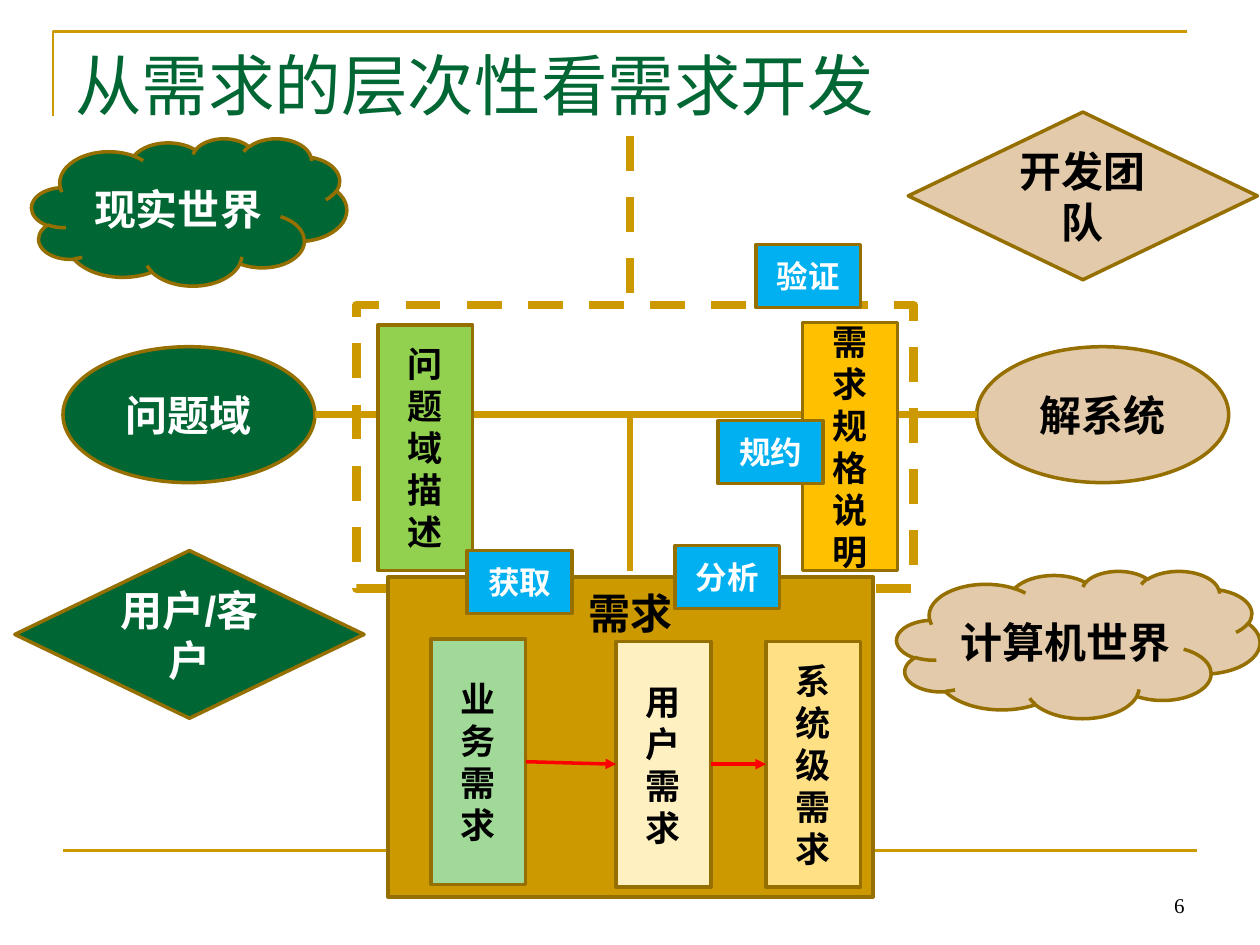
from lxml import etree
from pptx import Presentation
from pptx.dml.color import RGBColor
from pptx.enum.dml import MSO_LINE
from pptx.enum.shapes import MSO_CONNECTOR, MSO_SHAPE
from pptx.enum.text import MSO_ANCHOR, PP_ALIGN
from pptx.oxml.ns import qn
from pptx.util import Cm, Pt

RECTANGLE, ELLIPSE = MSO_SHAPE.RECTANGLE, MSO_SHAPE.OVAL
CLOUD, DIAMOND = MSO_SHAPE.CLOUD, MSO_SHAPE.FLOWCHART_DECISION
STRAIGHT = MSO_CONNECTOR.STRAIGHT
DASH = MSO_LINE.DASH
LEFT, CENTER, RIGHT = PP_ALIGN.LEFT, PP_ALIGN.CENTER, PP_ALIGN.RIGHT
TOP, MIDDLE, BOTTOM = MSO_ANCHOR.TOP, MSO_ANCHOR.MIDDLE, MSO_ANCHOR.BOTTOM
LEFT_SIDE, RIGHT_SIDE = 1, 3

BLACK = RGBColor(0x00, 0x00, 0x00)
WHITE = RGBColor(0xFF, 0xFF, 0xFF)
GREEN = RGBColor(0x00, 0x66, 0x33)
TAN = RGBColor(0xE2, 0xCA, 0xAA)
GOLD = RGBColor(0xCC, 0x99, 0x00)
BROWN = RGBColor(0x95, 0x6F, 0x00)
LIME = RGBColor(0x92, 0xD0, 0x50)
AMBER = RGBColor(0xFF, 0xC0, 0x00)
MINT = RGBColor(0xA1, 0xDA, 0x98)
CREAM = RGBColor(0xFF, 0xF0, 0xC2)
YELLOW = RGBColor(0xFF, 0xE0, 0x85)
BLUE = RGBColor(0x00, 0xB0, 0xF0)
RED = RGBColor(0xFF, 0x00, 0x00)

WORLDS = [
    (CLOUD, "现实世界", 0.64, 2.79, 6.35, 2.97, GREEN, WHITE),
    (CLOUD, "计算机世界", 18.08, 11.51, 7.32, 2.97, TAN, BLACK),
    (ELLIPSE, "问题域", 1.27, 6.99, 5.08, 2.74, GREEN, WHITE),
    (ELLIPSE, "解系统", 19.69, 6.99, 5.08, 2.74, TAN, BLACK),
    (DIAMOND, "用户/客户", 0.3, 11.1, 7.04, 3.38, GREEN, WHITE),
    (DIAMOND, "开发团队", 18.31, 2.26, 7.04, 3.38, TAN, BLACK),
]
DOCUMENTS = [
    ("问题域描述", 7.62, 6.55, 4.95, LIME),
    ("需求规格说明", 16.18, 6.5, 5, AMBER),
]
LEVELS = [
    ("业务需求", 8.69, 12.88, 4.95, MINT),
    ("用户需求", 12.42, 12.93, 4.95, CREAM),
    ("系统级需求", 15.44, 12.93, 4.95, YELLOW),
]
ACTIVITIES = [
    ("获取", 9.42, 11.1),
    ("分析", 13.61, 11),
    ("规约", 14.48, 8.48),
    ("验证", 15.24, 4.93),
]


def write(box, text, size=24, color=BLACK, font="Arial", bold=True,
          align=CENTER, anchor=MIDDLE, top=0.13):
    """Put one formatted paragraph into a shape."""
    frame = box.text_frame
    frame.word_wrap = True
    frame.vertical_anchor = anchor
    frame.margin_top = Cm(top)
    para = frame.paragraphs[0]
    para.alignment = align
    span = para.add_run()
    span.text = text
    span.font.name = font
    span.font.size = Pt(size)
    span.font.bold = bold
    span.font.color.rgb = color


def style_line(line, color, width, dash=None):
    """Set colour, width and dash of a line."""
    line.color.rgb = color
    line.width = Pt(width)
    if dash:
        line.dash_style = dash


def add_label(page, text, left, top, width, height, **text_format):
    """Add a plain text box."""
    box = page.shapes.add_textbox(Cm(left), Cm(top), Cm(width), Cm(height))
    write(box, text, **text_format)


def add_block(page, kind, left, top, width, height, fill,
              border=BROWN, border_width=2, dash=None):
    """Add a filled and outlined preset shape."""
    box = page.shapes.add_shape(kind, Cm(left), Cm(top), Cm(width), Cm(height))
    box.shadow.inherit = False
    box.fill.solid()
    box.fill.fore_color.rgb = fill
    style_line(box.line, border, border_width, dash)
    return box


def add_line(page, start, end, width, color=GOLD, dash=None):
    """Add a straight connector between two points."""
    line = page.shapes.add_connector(STRAIGHT, *map(Cm, start + end))
    style_line(line.line, color, width, dash)
    etree.SubElement(line.element.spPr, qn("a:effectLst"))
    return line


def add_arrow(page, source, target):
    """Join two boxes with a red arrow."""
    arrow = add_line(page, (0, 0), (0, 0), 2, RED)
    arrow.begin_connect(source, RIGHT_SIDE)
    arrow.end_connect(target, LEFT_SIDE)
    etree.SubElement(arrow.line._get_or_add_ln(), qn("a:tailEnd"), type="triangle")


def add_column(page, text, left, top, height, fill):
    """Add a narrow box whose text runs one character to a line."""
    box = add_block(page, RECTANGLE, left, top, 1.91, height, fill)
    write(box, text, size=20)
    return box


def add_corner(page):
    """Draw the open corner line around the title."""
    builder = page.shapes.build_freeform(Cm(1.07), Cm(2.34))
    builder.add_line_segments(
        [(Cm(1.07), Cm(0.64)), (Cm(23.93), Cm(0.64))], close=False)
    corner = builder.convert_to_shape()
    corner.shadow.inherit = False
    corner.fill.background()
    style_line(corner.line, GOLD, 1.5)


def add_heading(page):
    """Add the title, the page number and the rules."""
    add_corner(page)
    add_line(page, (1.27, 17.15), (24.13, 17.15), 1.5)
    add_label(page, "从需求的层次性看需求开发", 1.27, 0.76, 22.86, 3.18, size=38,
              color=GREEN, font="Times New Roman", bold=False, align=LEFT, anchor=TOP)
    add_label(page, "6", 18.21, 17.35, 5.92, 1.27, size=12,
              font="Times New Roman", bold=False, align=RIGHT, anchor=BOTTOM)


def add_diagram(page):
    """Add the worlds, documents, requirement levels and activities."""
    add_line(page, (12.7, 2.74), (12.7, 15.65), 5, dash=DASH)
    add_block(page, RECTANGLE, 7.19, 6.15, 11.23, 5.72, WHITE, GOLD, 5, DASH)
    for kind, text, left, top, width, height, fill, color in WORLDS:
        write(add_block(page, kind, left, top, width, height, fill), text, color=color)
    add_line(page, (6.35, 8.36), (19.69, 8.36), 4)
    add_line(page, (12.7, 8.36), (12.7, 11.51), 4)
    for document in DOCUMENTS:
        add_column(page, *document)
    requirements = add_block(page, RECTANGLE, 7.82, 11.63, 9.78, 6.45, GOLD)
    write(requirements, "需求", anchor=TOP, top=0.22)
    levels = [add_column(page, *level) for level in LEVELS]
    for source, target in zip(levels, levels[1:]):
        add_arrow(page, source, target)
    for text, left, top in ACTIVITIES:
        activity = add_block(page, RECTANGLE, left, top, 2.11, 1.27, BLUE)
        write(activity, text, size=18, color=WHITE)


def main():
    """Build the deck and save it."""
    deck = Presentation()
    deck.slide_width, deck.slide_height = Cm(25.4), Cm(19.05)
    page = deck.slides.add_slide(deck.slide_layouts[6])
    add_heading(page)
    add_diagram(page)
    deck.save("out.pptx")


if __name__ == "__main__":
    main()
